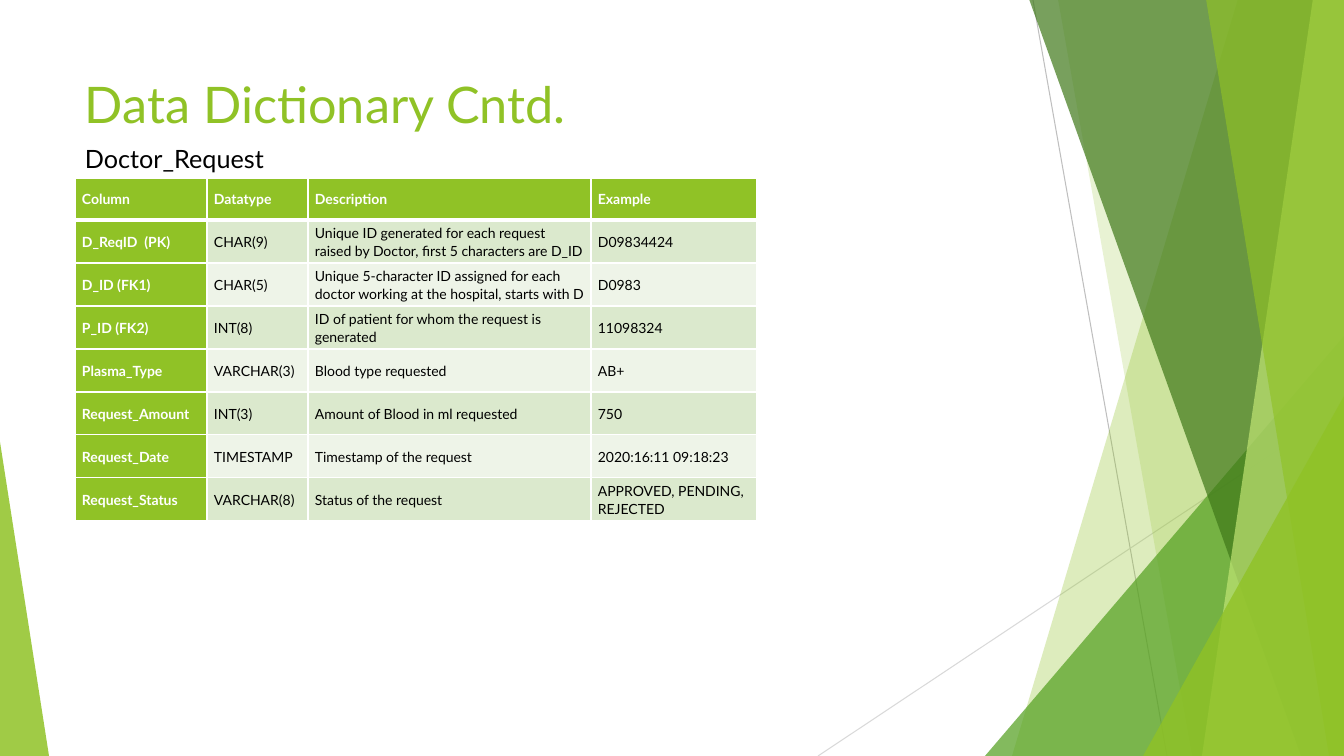
import pptx
import pptx.util
import pptx.oxml
import pptx.oxml.ns
import pptx.dml.color
import pptx.enum.shapes
import pptx.enum.text
import lxml.etree

px = 9071
W, H = 1344, 756
GREEN, WHITE, BLACK = "90C226", "FFFFFF", "000000"
A = "http://schemas.openxmlformats.org/drawingml/2006/main"
qn = pptx.oxml.ns.qn


def paint(fill, color):
    fill.solid()
    fill.fore_color.rgb = pptx.dml.color.RGBColor.from_string(color)


def write(tf, text, size, color, bold=False, spacing=None):
    tf.word_wrap = True
    p = tf.paragraphs[0]
    p.line_spacing = spacing
    r = p.add_run()
    r.text = text
    r.font.name = "Lato"
    r.font.size = pptx.util.Pt(size)
    r.font.bold = bold
    paint(r.font.fill, color)


prs = pptx.Presentation()
prs.slide_width, prs.slide_height = W * px, H * px
slide = prs.slides.add_slide(prs.slide_layouts[6])
shapes = slide.shapes

for x1, y1, x2, y2, color in [
    (1033, 0, 1167, H, "BFBFBF"),
    (W, 406, 818, H, "D9D9D9"),
]:
    line = shapes.add_connector(
        pptx.enum.shapes.MSO_CONNECTOR.STRAIGHT, x1 * px, y1 * px, x2 * px, y2 * px
    )
    line.line.width = pptx.util.Pt(0.75)
    paint(line.line.fill, color)
    lxml.etree.SubElement(line._element.spPr, qn("a:effectLst"))

facets = [
    ("band", (1238, 1012), GREEN, 30),
    ("band", (1058, 1192), GREEN, 20),
    ("triangle", (985, 336, 359, 1), "54A021", 72),
    ("band", (1029, 1301), "3F7819", 70),
    ("band", (1313, 1202), "C0E474", 70),
    ("band", (1206, 1329), GREEN, 65),
    ("triangle", (1143, 396, 201, 1), GREEN, 80),
    ("triangle", (0, 442, 49, 0), GREEN, 85),
]
for kind, place, color, opacity in facets:
    if kind == "band":
        top_x, bottom_x = place
        fb = shapes.build_freeform(top_x, -1, scale=px)
        fb.add_line_segments([(W, -1), (W, H), (bottom_x, H)], close=True)
        s = fb.convert_to_shape()
    else:
        x, y, width, peak = place
        s = shapes.add_shape(
            pptx.enum.shapes.MSO_SHAPE.ISOSCELES_TRIANGLE,
            x * px, y * px, width * px, (H - y) * px,
        )
        s.adjustments[0] = peak
    s.shadow.inherit = False
    s.line.fill.background()
    paint(s.fill, color)
    clr = s._element.spPr.find(qn("a:solidFill")).find(qn("a:srgbClr"))
    lxml.etree.SubElement(clr, qn("a:alpha"), val=str(opacity * 1000))

for text, y, width, height, size, color in [
    ("Data Dictionary Cntd.", 68, 948, 71, 36, GREEN),
    ("Doctor_Request", 138, 293, 40, 18, BLACK),
]:
    tb = shapes.add_textbox(75 * px, y * px, width * px, height * px)
    write(tb.text_frame, text, size, color)

rows = [
    ("Column", "Datatype", "Description", "Example"),
    ("D_ReqID  (PK)", "CHAR(9)",
     "Unique ID generated for each request raised by Doctor, first 5 characters are D_ID",
     "D09834424"),
    ("D_ID (FK1)", "CHAR(5)",
     "Unique 5-character ID assigned for each doctor working at the hospital, starts with D",
     "D0983"),
    ("P_ID (FK2)", "INT(8)", "ID of patient for whom the request is generated", "11098324"),
    ("Plasma_Type", "VARCHAR(3)", "Blood type requested", "AB+"),
    ("Request_Amount", "INT(3)", "Amount of Blood in ml requested", "750"),
    ("Request_Date", "TIMESTAMP", "Timestamp of the request", "2020:16:11 09:18:23"),
    ("Request_Status", "VARCHAR(8)", "Status of the request", "APPROVED, PENDING, REJECTED"),
]
widths = [132, 101, 283, 166]
table = shapes.add_table(
    len(rows), len(widths), 75 * px, 178 * px, sum(widths) * px, 343 * px
).table
table.first_row = table.horz_banding = False
for col, width in zip(table.columns, widths):
    col.width = width * px

for i, row in enumerate(rows):
    table.rows[i].height = (43 if i else 42) * px
    for j, text in enumerate(row):
        cell = table.cell(i, j)
        head = i == 0 or j == 0
        cell.vertical_anchor = pptx.enum.text.MSO_ANCHOR.MIDDLE
        cell.margin_left = cell.margin_right = 7 * px
        cell.margin_top = cell.margin_bottom = 0
        paint(cell.fill, GREEN if head else "DBE9CD" if i % 2 else "EEF4E8")
        write(cell.text_frame, text, 10, WHITE if head else BLACK, bold=head, spacing=1.07)
        tcPr = cell._tc.get_or_add_tcPr()
        for k, side in enumerate("LRTB"):
            thick = (i, side) in [(0, "B"), (1, "T")]
            tcPr.insert(k, pptx.oxml.parse_xml(
                f'<a:ln{side} xmlns:a="{A}" w="{pptx.util.Pt(3 if thick else 1)}">'
                f'<a:solidFill><a:srgbClr val="{WHITE}"/></a:solidFill></a:ln{side}>'
            ))

prs.save("out.pptx")
